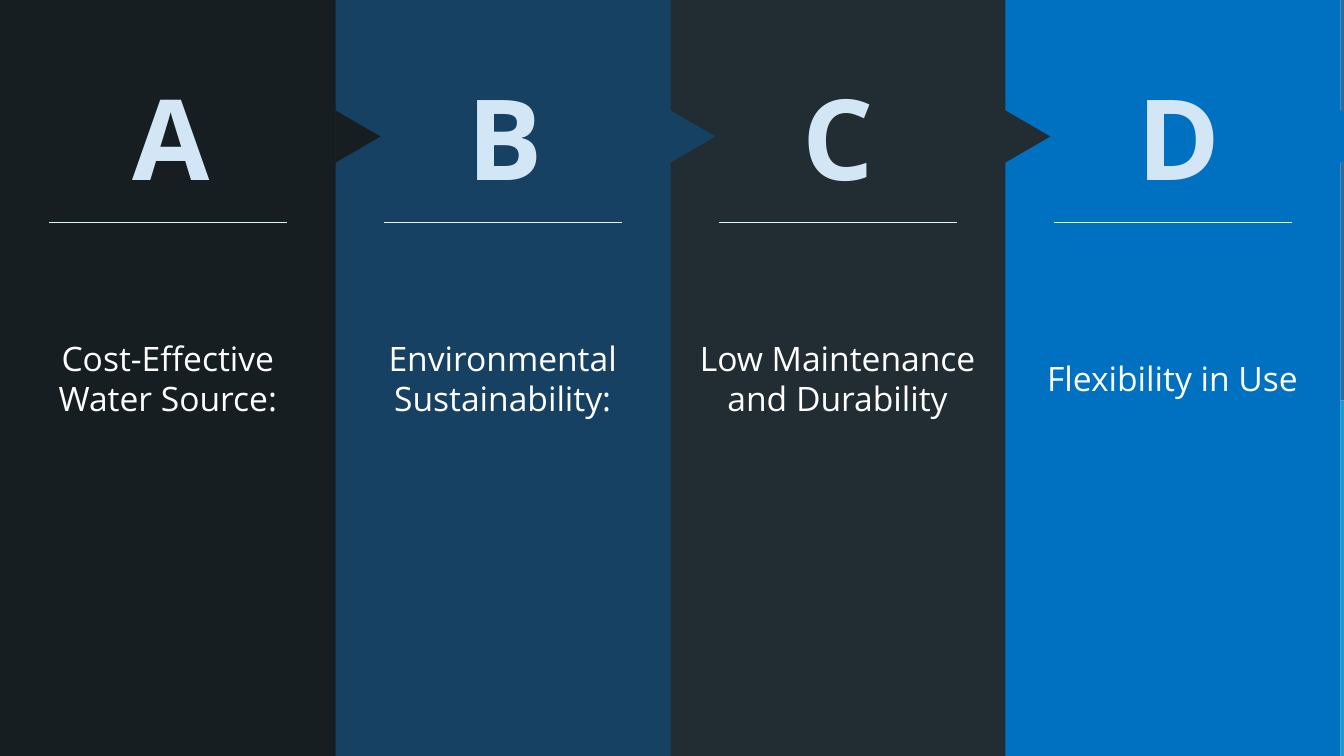
import pptx
import pptx.dml.color
import pptx.enum.shapes
import pptx.enum.text
import pptx.oxml.ns
import pptx.util
from lxml import etree

Cm = pptx.util.Cm
SHAPES = pptx.enum.shapes.MSO_SHAPE
SLIDE_WIDTH, SLIDE_HEIGHT = 33.87, 19.05
COLUMN_WIDTH, COLUMN_PITCH = 8.46, 8.44
ARROW_WIDTH, ARROW_HEIGHT = 1.32, 1.14
FONT = "Open Sans"

BENEFITS = [
    ("A", ["Cost-Effective", "Water Source:"], "161E22"),
    ("B", ["Environmental", "Sustainability:"], "174162"),
    ("C", ["Low Maintenance", "and Durability"], "212D32"),
    ("D", ["Flexibility in Use"], "0070C0"),
]


def color(value):
    return pptx.dml.color.RGBColor.from_string(value)


def add_filled(slide, kind, left, top, width, height, fill):
    shape = slide.shapes.add_shape(kind, Cm(left), Cm(top), Cm(width), Cm(height))
    shape.shadow.inherit = False
    shape.fill.solid()
    shape.fill.fore_color.rgb = color(fill)
    shape.line.fill.background()
    return shape


def write_centred(frame, lines, size, fill, bold=False):
    frame.word_wrap = True
    for index, line in enumerate(lines):
        paragraph = frame.paragraphs[0] if index == 0 else frame.add_paragraph()
        paragraph.text = line
        paragraph.alignment = pptx.enum.text.PP_ALIGN.CENTER
        paragraph.font.name = FONT
        paragraph.font.size = pptx.util.Pt(size)
        paragraph.font.bold = bold
        paragraph.font.color.rgb = color(fill)


def add_edge(slide, left, top, width, height):
    split = 10.1
    add_filled(slide, SHAPES.RECTANGLE, left, top, width, split, "286D9E")
    add_filled(slide, SHAPES.RECTANGLE, left, top + split, width, height - split, "1D99CC")


def add_benefit(slide, left, top, width, height, letter, lines, fill):
    panel = add_filled(slide, SHAPES.RECTANGLE, left, top, width, height, fill)
    panel.text_frame.vertical_anchor = pptx.enum.text.MSO_ANCHOR.MIDDLE
    write_centred(panel.text_frame, lines, 24, "FFFFFF")

    arrow = add_filled(slide, SHAPES.ISOSCELES_TRIANGLE, left + width - 0.1, top + 2.87,
                       ARROW_WIDTH, ARROW_HEIGHT, fill)
    arrow.rotation = 90

    heading = slide.shapes.add_textbox(Cm(left + 3.1), Cm(top + 1.6), Cm(2.24), Cm(3.68))
    write_centred(heading.text_frame, [letter], 80, "D3E6F5", bold=True)

    rule_y = Cm(top + 5.61)
    rule = slide.shapes.add_connector(pptx.enum.shapes.MSO_CONNECTOR.STRAIGHT,
                                      Cm(left + 1.24), rule_y, Cm(left + width - 1.22), rule_y)
    rule.line.color.rgb = color("DFF5FC")
    rule.line.width = pptx.util.Pt(1)
    etree.SubElement(rule._element.spPr, pptx.oxml.ns.qn("a:effectLst"))


def main():
    deck = pptx.Presentation()
    deck.slide_width, deck.slide_height = Cm(SLIDE_WIDTH), Cm(SLIDE_HEIGHT)
    slide = deck.slides.add_slide(deck.slide_layouts[6])

    columns_right = COLUMN_PITCH * (len(BENEFITS) - 1) + COLUMN_WIDTH
    add_edge(slide, columns_right, 0, SLIDE_WIDTH - columns_right, SLIDE_HEIGHT)
    for index, (letter, lines, fill) in reversed(list(enumerate(BENEFITS))):
        add_benefit(slide, index * COLUMN_PITCH, 0, COLUMN_WIDTH, SLIDE_HEIGHT,
                    letter, lines, fill)
    deck.save("out.pptx")


if __name__ == "__main__":
    main()
